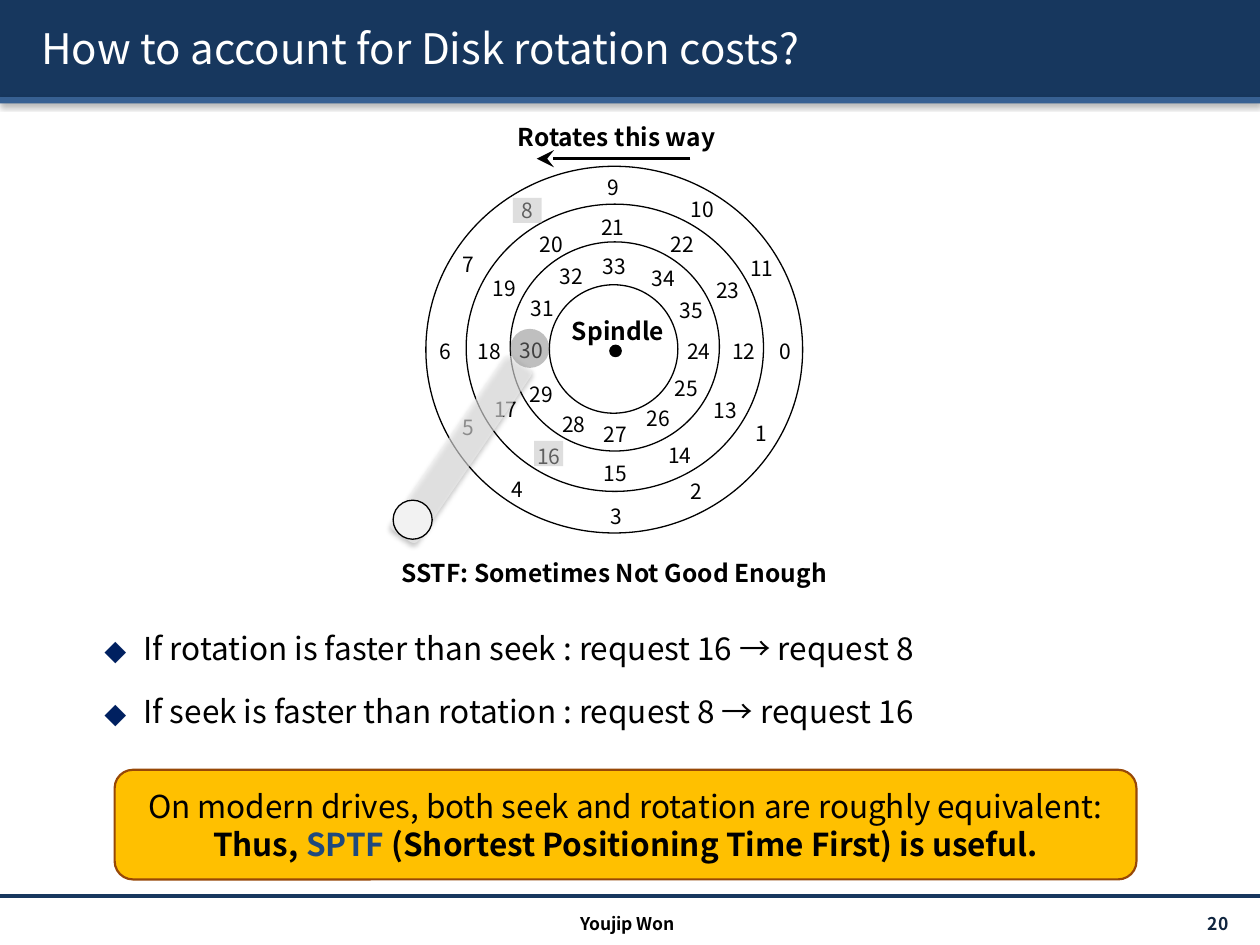
from dataclasses import dataclass
from typing import Optional

from lxml import etree
from pptx import Presentation
from pptx.dml.color import RGBColor
from pptx.enum.shapes import MSO_CONNECTOR as Connector, MSO_SHAPE as Shape
from pptx.enum.text import MSO_ANCHOR as Anchor, PP_ALIGN as Align
from pptx.oxml import parse_xml
from pptx.oxml.ns import nsdecls, qn
from pptx.util import Inches, Pt

FONT = "Noto Sans CJK KR"
COLORS = {
    "black": "000000", "white": "FFFFFF", "navy": "17375E", "blue": "376092",
    "bullet": "002060", "number": "0F243E", "term": "1F497D", "pale": "F2F2F2",
    "silver": "BFBFBF", "gray": "808080", "gold": "FFC000", "brown": "984807",
}


@dataclass
class Span:
    text: str
    color: str = "black"
    bold: bool = False


@dataclass
class Solid:
    kind: Shape
    left: float
    top: float
    width: float
    height: float
    fill: Optional[str] = None
    line: Optional[str] = None
    line_width: float = 0.75
    opacity: int = 100
    rotation: float = 0
    shadow: bool = False


# Label corners (left, top) by track, from the right-hand sector clockwise
TRACKS = (
    ((6.04, 2.64), (5.85, 3.29), (5.33, 3.75), (4.7, 3.95), (3.91, 3.73), (3.52, 3.24),
     (3.34, 2.64), (3.52, 1.95), (3.99, 1.52), (4.67, 1.34), (5.38, 1.51), (5.85, 1.98)),
    ((5.71, 2.64), (5.56, 3.11), (5.2, 3.46), (4.69, 3.61), (4.16, 3.47), (3.82, 3.1),
     (3.69, 2.64), (3.81, 2.14), (4.18, 1.79), (4.67, 1.65), (5.22, 1.79), (5.58, 2.15)),
    ((5.35, 2.64), (5.25, 2.93), (5.03, 3.17), (4.69, 3.3), (4.36, 3.22), (4.1, 2.98),
     (4.02, 2.63), (4.11, 2.3), (4.34, 2.04), (4.68, 1.96), (5.07, 2.06), (5.29, 2.31)),
)
RINGS = ((4.36, 2.26, 1.02, 1.02), (4.05, 1.92, 1.66, 1.66),
         (3.7, 1.62, 2.36, 2.28), (3.38, 1.32, 2.99, 2.91))
BULLETS = ("If rotation is faster than seek : request 16 → request 8",
           "If seek is faster than rotation : request 8 → request 16")


def rgb(name: str) -> RGBColor:
    return RGBColor.from_string(COLORS[name])


def shadow_xml():
    return parse_xml(
        f'<a:effectLst {nsdecls("a")}><a:outerShdw blurRad="{Pt(3.1)}" dist="{Pt(1.6)}" '
        'dir="5400000" algn="t" rotWithShape="0"><a:srgbClr val="000000">'
        '<a:alpha val="38000"/></a:srgbClr></a:outerShdw></a:effectLst>')


def draw_solid(parent, solid: Solid):
    shape = parent.add_shape(solid.kind, Inches(solid.left), Inches(solid.top),
                             Inches(solid.width), Inches(solid.height))
    shape.rotation = solid.rotation
    shape.shadow.inherit = False
    if solid.fill:
        shape.fill.solid()
        shape.fill.fore_color.rgb = rgb(solid.fill)
        if solid.opacity < 100:
            color = shape._element.spPr.find(qn("a:solidFill"))[0]
            etree.SubElement(color, qn("a:alpha"), val=str(solid.opacity * 1000))
    else:
        shape.fill.background()
    if solid.line:
        shape.line.color.rgb = rgb(solid.line)
        shape.line.width = Pt(solid.line_width)
    else:
        shape.line.fill.background()
    if solid.shadow:
        properties = shape._element.spPr
        properties.replace(properties.find(qn("a:effectLst")), shadow_xml())
    return shape


def add_spans(para, spans: list[Span], size: float, align: Align) -> None:
    para.alignment = align
    for span in spans:
        run = para.add_run()
        run.text = span.text
        font = run.font
        font.name, font.size, font.bold = FONT, Pt(size), span.bold
        font.color.rgb = rgb(span.color)
        # East Asian and symbol characters use the same font
        for tag in ("a:ea", "a:sym"):
            etree.SubElement(run._r.rPr, qn(tag), typeface=FONT)


def draw_text(parent, left: float, top: float, width: float, height: float,
              span: Span, size: float, align: Align = Align.CENTER,
              anchor: Anchor = Anchor.TOP, side: float = 0.1):
    box = parent.add_textbox(Inches(left), Inches(top), Inches(width), Inches(height))
    frame = box.text_frame
    frame.word_wrap = True
    frame.vertical_anchor = anchor
    frame.margin_left = frame.margin_right = Inches(side)
    add_spans(frame.paragraphs[0], [span], size, align)
    return box


def draw_line(parent, start: tuple[float, float], end: tuple[float, float],
              color: str, width: float, arrow: bool = False) -> None:
    line = parent.add_connector(Connector.STRAIGHT, *map(Inches, start + end))
    line.line.color.rgb = rgb(color)
    line.line.width = Pt(width)
    if arrow:
        etree.SubElement(line.line._get_or_add_ln(), qn("a:tailEnd"), type="stealth",
                         w="lg", len="lg")
    etree.SubElement(line._element.spPr, qn("a:effectLst"))


def draw_frame(page) -> None:
    # Title band, footer rule and footer
    draw_solid(page.shapes, Solid(Shape.RECTANGLE, 0, 0, 10, 0.77, "navy", shadow=True))
    draw_solid(page.shapes, Solid(Shape.RECTANGLE, 0, 0.77, 10, 0.05, "blue", shadow=True))
    draw_line(page.shapes, (0, 7.11), (10, 7.11), "navy", 2)
    title = draw_text(page.shapes, 0.23, 0.06, 9.61, 0.64,
                      Span("How to account for Disk rotation costs?", "white"), 24,
                      Align.LEFT, Anchor.MIDDLE)
    properties = title.text_frame.paragraphs[0].runs[0]._r.rPr
    properties.find(qn("a:solidFill")).addnext(shadow_xml())
    draw_text(page.shapes, 8.71, 7.21, 1.17, 0.24, Span("20 ", "number", True), 10,
              Align.RIGHT, Anchor.MIDDLE)
    draw_text(page.shapes, 3.32, 7.2, 3.32, 0.24, Span("Youjip Won", bold=True), 10)


def draw_disk(page) -> None:
    disk = page.shapes.add_group_shape().shapes
    for ring in RINGS:
        draw_solid(disk, Solid(Shape.OVAL, *ring, line="black"))
    for track, corners in enumerate(TRACKS):
        for sector, (left, top) in enumerate(corners):
            number = track * len(corners) + sector
            draw_text(disk, left, top, 0.39, 0.3, Span(str(number)), 12, side=0)
    draw_solid(disk, Solid(Shape.OVAL, 4.84, 2.74, 0.09, 0.09, "black", "black"))
    draw_text(disk, 4.42, 2.46, 0.97, 0.34, Span("Spindle", bold=True), 14)

    # Rotation direction and caption
    draw_text(page.shapes, 3.91, 0.92, 1.97, 0.34, Span("Rotates this way", bold=True), 14)
    draw_line(page.shapes, (5.48, 1.26), (4.26, 1.26), "black", 1.5, arrow=True)
    draw_text(page.shapes, 2.78, 4.38, 4.19, 0.34,
              Span("SSTF: Sometimes Not Good Enough", bold=True), 14)

    # Arm, head, pivot and the two requested sectors
    for solid in (
        Solid(Shape.ROUNDED_RECTANGLE, 3.53, 2.73, 0.26, 1.67, "pale", opacity=58,
              rotation=34.4, shadow=True),
        Solid(Shape.OVAL, 4.05, 2.61, 0.31, 0.31, "gray", opacity=50),
        Solid(Shape.OVAL, 3.12, 3.97, 0.31, 0.31, "pale", "black"),
        Solid(Shape.RECTANGLE, 4.24, 3.5, 0.23, 0.2, "silver", opacity=50),
        Solid(Shape.RECTANGLE, 4.07, 1.57, 0.23, 0.2, "silver", opacity=50),
    ):
        draw_solid(page.shapes, solid)


def draw_bullets(page) -> None:
    box = page.shapes.add_textbox(Inches(0.23), Inches(4.79), Inches(9.61), Inches(1.1))
    frame = box.text_frame
    frame.word_wrap = True
    for index, text in enumerate(BULLETS):
        para = frame.add_paragraph() if index else frame.paragraphs[0]
        para.line_spacing, para.space_before = 1.5, Pt(3.6)
        add_spans(para, [Span(text)], 18, Align.LEFT)
        properties = para._p.get_or_add_pPr()
        properties.set("marL", str(Inches(0.81)))
        properties.set("indent", str(Inches(-0.31)))
        color = etree.SubElement(properties, qn("a:buClr"))
        etree.SubElement(color, qn("a:srgbClr"), val=COLORS["bullet"])
        etree.SubElement(properties, qn("a:buFont"), typeface=FONT)
        etree.SubElement(properties, qn("a:buChar"), char="⬥")


def draw_conclusion(page) -> None:
    panel = draw_solid(page.shapes, Solid(Shape.ROUNDED_RECTANGLE, 0.91, 6.11, 8.11, 0.87,
                                          "gold", "brown", 1.25))
    frame = panel.text_frame
    frame.word_wrap = True
    frame.vertical_anchor = Anchor.MIDDLE
    frame.margin_left = frame.margin_right = Inches(0.12)
    add_spans(frame.paragraphs[0],
              [Span("On modern drives, both seek and rotation are roughly equivalent:")],
              18, Align.CENTER)
    add_spans(frame.add_paragraph(),
              [Span("Thus, ", bold=True), Span("SPTF", "term", True),
               Span(" (Shortest Positioning Time First) is useful.", bold=True)],
              18, Align.CENTER)


def main() -> None:
    deck = Presentation()
    deck.slide_width, deck.slide_height = Inches(10), Inches(7.5)
    page = deck.slides.add_slide(deck.slide_layouts[6])
    draw_frame(page)
    draw_disk(page)
    draw_bullets(page)
    draw_conclusion(page)
    deck.save("out.pptx")


if __name__ == "__main__":
    main()
